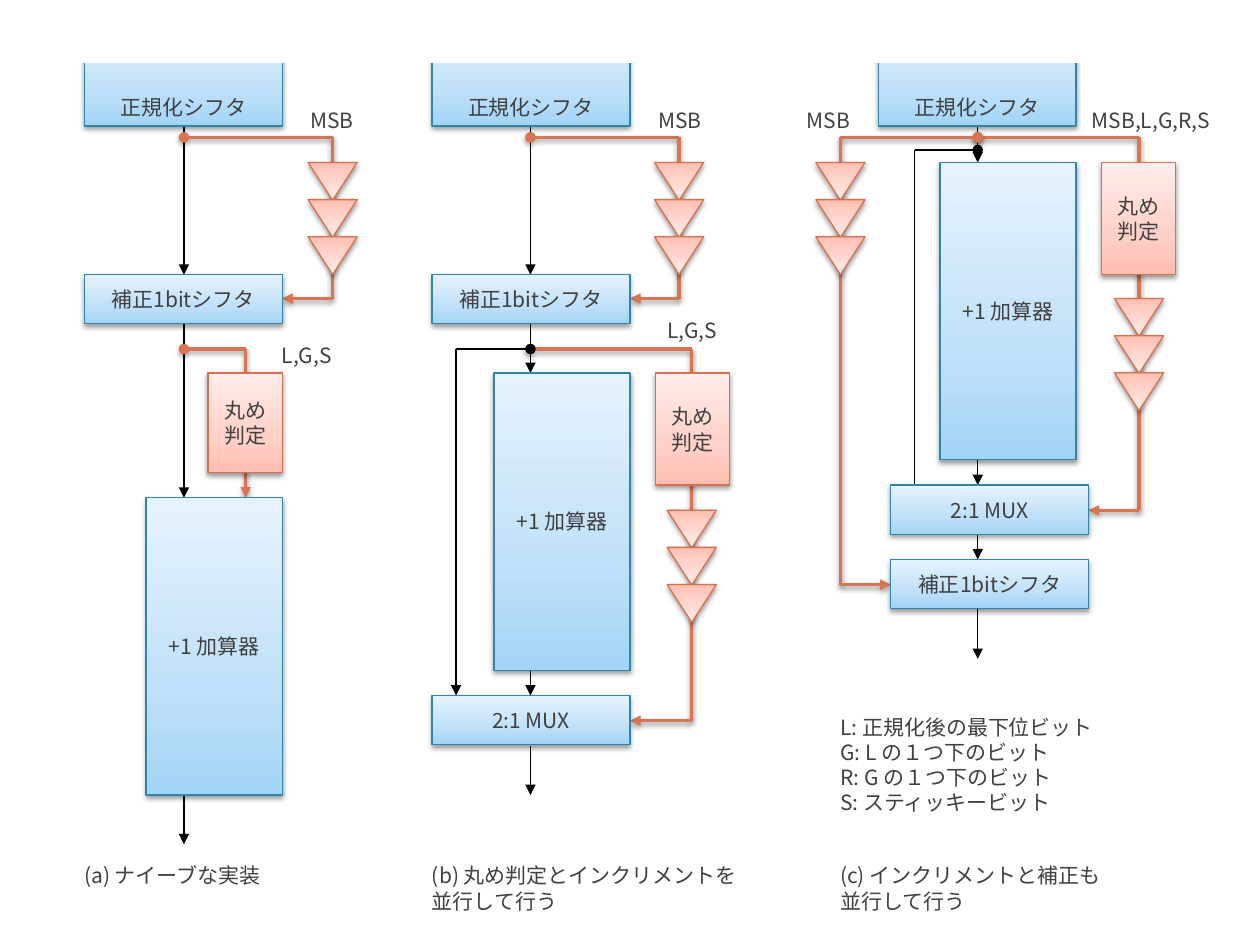
from lxml import etree
from pptx import Presentation
from pptx.dml.color import RGBColor
from pptx.enum.shapes import MSO_CONNECTOR, MSO_SHAPE
from pptx.enum.text import MSO_ANCHOR, MSO_AUTO_SIZE, PP_ALIGN
from pptx.oxml import parse_xml
from pptx.oxml.ns import nsdecls, qn
from pptx.util import Inches, Pt

FONT = "Noto Sans CJK JP"
TEXT = RGBColor(0x40, 0x40, 0x40)
WHITE = RGBColor(0xFF, 0xFF, 0xFF)
BLACK = RGBColor(0x00, 0x00, 0x00)
RED = RGBColor(0xD8, 0x75, 0x52)
RED_EDGE = RGBColor(0xD7, 0x71, 0x4D)
BLUE_EDGE = RGBColor(0x2E, 0x87, 0xAB)
# Gradient stops at 0, 35 and 100 percent, from bottom to top
BLUE_STOPS = [RGBColor(0xA2, 0xD4, 0xF7), RGBColor(0xBF, 0xE0, 0xF8), RGBColor(0xE6, 0xF3, 0xFD)]
RED_STOPS = [RGBColor(0xFF, 0xBE, 0xB0), RGBColor(0xFF, 0xD0, 0xC7), RGBColor(0xFF, 0xED, 0xEA)]
RECTANGLE, TRIANGLE = MSO_SHAPE.RECTANGLE, MSO_SHAPE.ISOSCELES_TRIANGLE
STRAIGHT = MSO_CONNECTOR.STRAIGHT
TOP, MIDDLE, BOTTOM = MSO_ANCHOR.TOP, MSO_ANCHOR.MIDDLE, MSO_ANCHOR.BOTTOM
LEFT, CENTER = PP_ALIGN.LEFT, PP_ALIGN.CENTER

# Block kinds: width, stops, edge colour, anchor
WIDE = (1.57, BLUE_STOPS, BLUE_EDGE, MIDDLE)
SOURCE = (1.57, BLUE_STOPS, BLUE_EDGE, BOTTOM)
ADDER = (1.08, BLUE_STOPS, BLUE_EDGE, MIDDLE)
ROUND = (0.59, RED_STOPS, RED_EDGE, MIDDLE)
NORMALIZE, CORRECT, INCREMENT = "正規化シフタ", "補正1bitシフタ", "+1 加算器"
SELECT, DECIDE = "2:1 MUX", "丸め\n判定"

# Blocks: kind, text, left, top, height
BLOCKS = [
    (SOURCE, NORMALIZE, 0.67, 0.21, 0.79),
    (WIDE, CORRECT, 0.67, 2.18, 0.39),
    (ROUND, DECIDE, 1.65, 2.96, 0.79),
    (ADDER, INCREMENT, 1.16, 3.95, 2.36),
    (SOURCE, NORMALIZE, 3.43, 0.21, 0.79),
    (WIDE, CORRECT, 3.43, 2.18, 0.39),
    (ADDER, INCREMENT, 3.92, 2.96, 2.36),
    (ROUND, DECIDE, 5.2, 2.96, 0.89),
    (WIDE, SELECT, 3.43, 5.52, 0.39),
    (SOURCE, NORMALIZE, 6.97, 0.21, 0.79),
    (ADDER, INCREMENT, 7.46, 1.29, 2.36),
    (ROUND, DECIDE, 8.74, 1.29, 0.89),
    (WIDE, SELECT, 7.07, 3.85, 0.39),
    (WIDE, CORRECT, 7.07, 4.44, 0.39),
]

# Data arrows run straight down: x, then (top, bottom) pairs
DATA_ARROWS = [
    (1.46, [(0.99, 2.18), (2.57, 3.95), (6.31, 6.7)]),
    (4.21, [(0.99, 2.18), (2.57, 2.96), (5.32, 5.52), (5.92, 6.31)]),
    (7.76, [(0.99, 1.29), (3.65, 3.85), (4.24, 4.44), (4.83, 5.23)]),
]

# Control wires start at a dot and end with an arrow
CONTROL_WIRES = [
    [(1.46, 1.09), (2.64, 1.09), (2.64, 2.37), (2.24, 2.37)],
    [(1.46, 2.77), (1.95, 2.77), (1.95, 3.95)],
    [(4.21, 1.09), (5.39, 1.09), (5.39, 2.37), (5, 2.37)],
    [(4.21, 2.77), (5.49, 2.77), (5.49, 5.72), (5, 5.72)],
    [(7.76, 1.09), (9.04, 1.09), (9.04, 4.05), (8.64, 4.05)],
    [(7.76, 1.09), (6.67, 1.09), (6.67, 4.64), (7.07, 4.64)],
]

# Bypass wires around the adders: points, end marker
BYPASS_WIRES = [
    ([(4.21, 2.77), (3.62, 2.77), (3.62, 5.52)], "triangle"),
    ([(7.76, 1.19), (7.26, 1.19), (7.26, 3.85)], None),
]

# Delay chains of three triangles: centre x, top
DELAYS = [(2.64, 1.29), (5.39, 1.29), (5.49, 4.05), (6.67, 1.29), (9.04, 2.37)]
DELAY_WIDTH, DELAY_HEIGHT = 0.39, 0.3
DELAY_PITCH = 0.295

SIGNALS = [
    ("MSB", 2.44, 0.8), ("MSB", 5.2, 0.8), ("MSB", 6.38, 0.8),
    ("MSB,L,G,R,S", 8.94, 0.8), ("L,G,S", 2.24, 2.67), ("L,G,S", 5.3, 2.47),
]
CAPTIONS = [
    ("(a) ナイーブな実装", 0.57, 6.8),
    ("(b) 丸め判定とインクリメントを\n並行して行う", 3.33, 6.8),
    ("(c) インクリメントと補正も\n並行して行う", 6.57, 6.8),
    ("L: 正規化後の最下位ビット\nG: L の１つ下のビット\nR: G の１つ下のビット\nS: スティッキービット", 6.57, 5.62),
]


def write(box, text, align=CENTER, anchor=MIDDLE):
    frame = box.text_frame
    frame.word_wrap = False
    frame.auto_size = MSO_AUTO_SIZE.NONE
    frame.vertical_anchor = anchor
    frame.text = text
    for para in frame.paragraphs:
        para.alignment = align
        for span in para.runs:
            span.font.size = Pt(12)
            span.font.name = FONT
            span.font.color.rgb = TEXT
            east_asian = etree.SubElement(span.font._element, qn("a:ea"))
            east_asian.set("typeface", FONT)


def cast_shadow(effects):
    effects.append(parse_xml(
        f'<a:outerShdw {nsdecls("a")} blurRad="{Pt(3.1)}" dist="{Pt(1.6)}" dir="5400000" rotWithShape="0">'
        '<a:srgbClr val="000000"><a:alpha val="38000"/></a:srgbClr></a:outerShdw>'))


def add_block(preset, left, top, width, height, stops, edge):
    box = page.shapes.add_shape(preset, Inches(left), Inches(top), Inches(width), Inches(height))
    box.line.color.rgb = edge
    box.line.width = Pt(0.75)
    box.shadow.inherit = False
    properties = box._element.spPr
    cast_shadow(properties.find(qn("a:effectLst")))
    marks = "".join(f'<a:gs pos="{position}000"><a:srgbClr val="{colour}"/></a:gs>'
                    for position, colour in zip((0, 35, 100), stops))
    properties.find(qn("a:prstGeom")).addnext(parse_xml(
        f'<a:gradFill {nsdecls("a")} rotWithShape="1"><a:gsLst>{marks}</a:gsLst>'
        '<a:lin ang="16200000" scaled="0"/></a:gradFill>'))
    return box


def add_wire(points, colour=BLACK, width=0.75, start=None, end=None, shadow=False):
    last = len(points) - 2
    for index, (first, second) in enumerate(zip(points, points[1:])):
        wire = page.shapes.add_connector(STRAIGHT, *(Inches(value) for value in first + second))
        wire.line.color.rgb = colour
        wire.line.width = Pt(width)
        for tag, marker, place in (("a:headEnd", start, 0), ("a:tailEnd", end, last)):
            if marker and index == place:
                etree.SubElement(wire.line._get_or_add_ln(), qn(tag)).set("type", marker)
        effects = etree.SubElement(wire._element.spPr, qn("a:effectLst"))
        if shadow:
            cast_shadow(effects)


deck = Presentation()
deck.slide_width, deck.slide_height = Inches(10), Inches(7.5)
page = deck.slides.add_slide(deck.slide_layouts[6])

# Wires
for x, spans in DATA_ARROWS:
    for top, bottom in spans:
        add_wire([(x, top), (x, bottom)], end="triangle")
for points in CONTROL_WIRES:
    add_wire(points, colour=RED, width=2, start="oval", end="triangle", shadow=True)
for points, end in BYPASS_WIRES:
    add_wire(points, start="oval", end=end)

# Blocks and delay chains
for (width, stops, edge, anchor), text, left, top, height in BLOCKS:
    write(add_block(RECTANGLE, left, top, width, height, stops, edge), text, anchor=anchor)
for center, top in DELAYS:
    for step in range(3):
        delay = add_block(TRIANGLE, center - DELAY_WIDTH / 2, top + step * DELAY_PITCH,
                          DELAY_WIDTH, DELAY_HEIGHT, RED_STOPS, RED_EDGE)
        delay._element.spPr.find(qn("a:xfrm")).set("flipV", "1")

# Signal names, captions and legend
for labels, align, anchor in ((SIGNALS, CENTER, MIDDLE), (CAPTIONS, LEFT, TOP)):
    for text, left, top in labels:
        label = page.shapes.add_textbox(Inches(left), Inches(top), Inches(0.39), Inches(0.3))
        write(label, text, align=align, anchor=anchor)

# White band that cuts off the top of the source blocks
band = page.shapes.add_shape(RECTANGLE, Inches(0.47), Inches(0.11), Inches(9.15), Inches(0.39))
band.fill.solid()
band.fill.fore_color.rgb = WHITE
band.line.fill.background()
band.shadow.inherit = False

deck.save("out.pptx")
